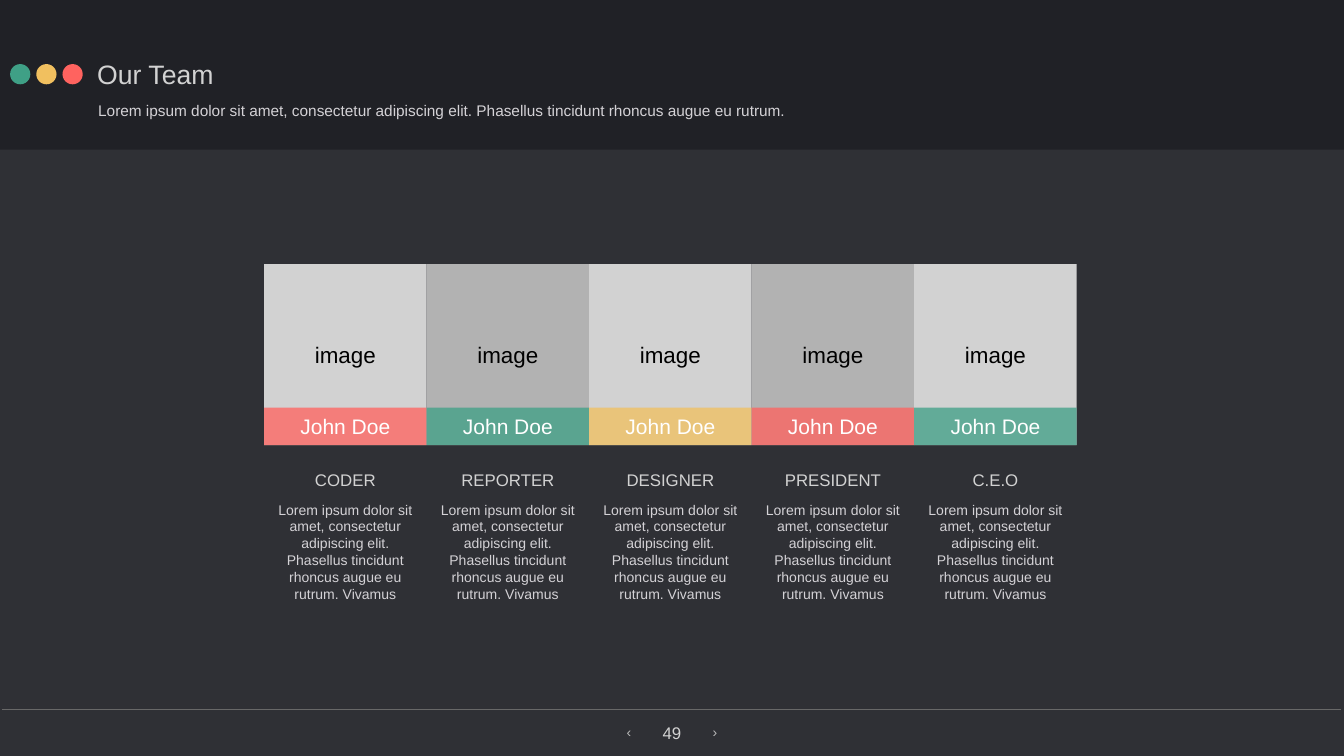
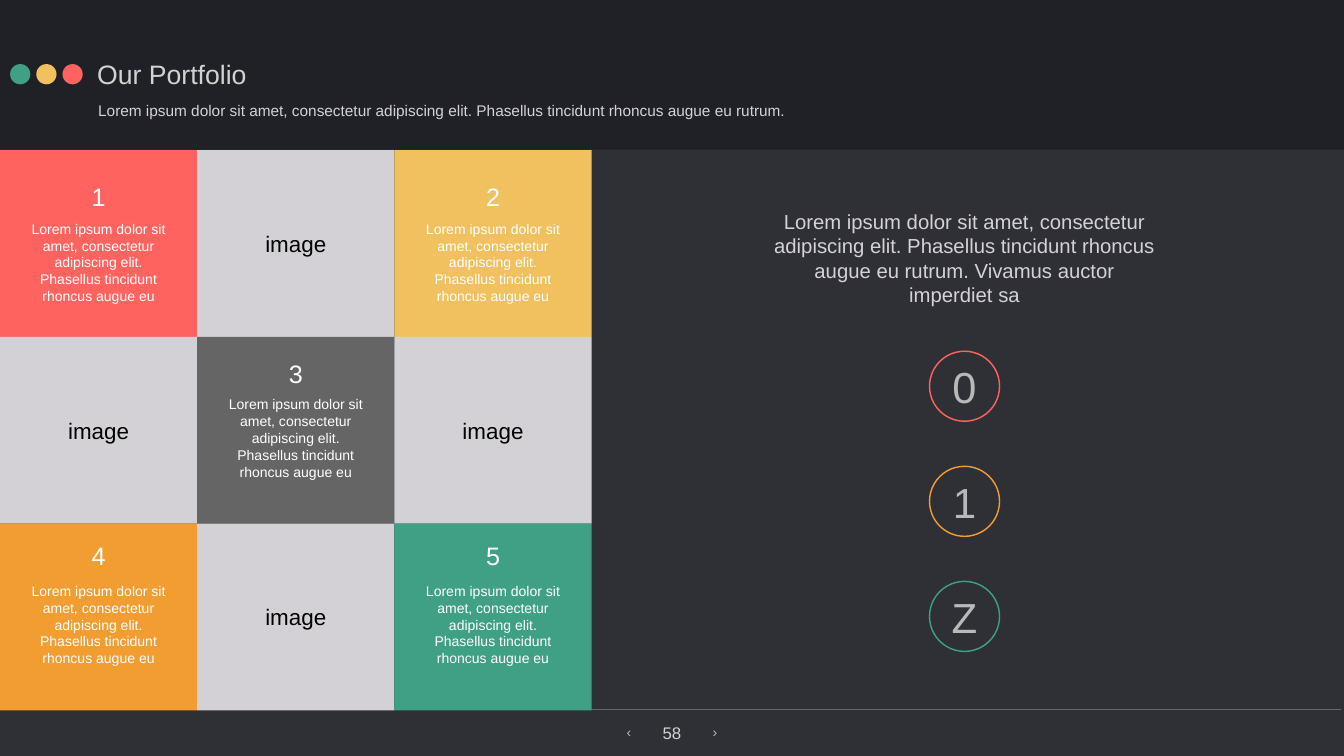
from pptx import Presentation
from pptx.dml.color import RGBColor
from pptx.enum.shapes import MSO_CONNECTOR, MSO_SHAPE
from pptx.enum.text import MSO_ANCHOR, MSO_AUTO_SIZE, PP_ALIGN
from pptx.oxml.ns import qn
from pptx.util import Cm, Pt
from lxml import etree

RECTANGLE, ELLIPSE = MSO_SHAPE.RECTANGLE, MSO_SHAPE.OVAL
STRAIGHT = MSO_CONNECTOR.STRAIGHT
TOP, MIDDLE = MSO_ANCHOR.TOP, MSO_ANCHOR.MIDDLE
LEFT, CENTER = PP_ALIGN.LEFT, PP_ALIGN.CENTER
GROW, FIXED = MSO_AUTO_SIZE.SHAPE_TO_FIT_TEXT, MSO_AUTO_SIZE.NONE

# Shared look
FONT = "Arial"
BACKGROUND, BAND, RULE = "2F3035", "202126", "686868"
GREEN, YELLOW, RED, ORANGE = "3FA086", "F1C05F", "FF635F", "F19D32"
LIGHT, PALE, MUTED, WHITE, BLACK = "D2D2D2", "D4D2D6", "B9B9B9", "FFFFFF", "000000"
TILE_DARK, TILE_PALE, TILE_GRAY = "B2B2B2", "D3D1D5", "656565"

# Regions as left, top, width, height in centimetres
PAGE_WIDTH, PAGE_HEIGHT = 67.74, 38.1
HEADER = (0, 0, PAGE_WIDTH, 7.54)
FOOTER = (0, 35.74, PAGE_WIDTH, 2.36)
TEAM = (13.31, 13.31, 40.96, 17.15)
MOSAIC = (0, 7.57, 29.82, 28.23)
SUMMARY = (38.66, 10.39, 19.91, 22.45)

# Wording
SENTENCE = "Lorem ipsum dolor sit amet, consectetur adipiscing elit. Phasellus tincidunt rhoncus augue eu"
SUBTITLE = SENTENCE + " rutrum."
MEMBER_TEXT = SUBTITLE + " Vivamus"
SUMMARY_TEXT = MEMBER_TEXT + " auctor imperdiet sa"

MEMBERS = [("CODER", RED), ("REPORTER", GREEN), ("DESIGNER", YELLOW),
           ("PRESIDENT", RED), ("C.E.O", GREEN)]

# Mosaic rows: number top, text top, then a (number, colour) or None for each cell
MOSAIC_ROWS = [
    (1.45, 3.38, [("1", RED), None, ("2", YELLOW)]),
    (0.94, 2.82, [None, ("3", TILE_GRAY), None]),
    (0.69, 2.82, [("4", ORANGE), None, ("5", GREEN)]),
]
BADGES = [("0", RED, 62), ("1", ORANGE, 60), ("Z", GREEN, 60)]


def rgb(color):
    return RGBColor.from_string(color)


def place(shape, left, top, width, height):
    shape.left, shape.top = Cm(left), Cm(top)
    shape.width, shape.height = Cm(width), Cm(height)


def write(shape, text, size, color, align=CENTER, anchor=MIDDLE, wrap=False, fit=GROW):
    frame = shape.text_frame
    frame.text = text
    frame.word_wrap = wrap
    frame.auto_size = fit
    frame.vertical_anchor = anchor
    frame.margin_left = frame.margin_right = Cm(0.15)
    frame.margin_top = frame.margin_bottom = Cm(0.15)
    for para in frame.paragraphs:
        para.alignment = align
        for span in para.runs:
            span.font.name, span.font.size = FONT, Pt(size)
            span.font.color.rgb = rgb(color)


def add_text(page, box, text, size, color, **options):
    shape = page.shapes.add_textbox(*map(Cm, box))
    write(shape, text, size, color, **options)


def add_block(page, kind, box, fill=None, line=None, opacity=100):
    shape = page.shapes.add_shape(kind, *map(Cm, box))
    shape.shadow.inherit = False
    if fill:
        shape.fill.solid()
        shape.fill.fore_color.rgb = rgb(fill)
    else:
        shape.fill.background()
    if line:
        shape.line.color.rgb = rgb(line)
        shape.line.width = Pt(2)
    else:
        shape.line.fill.background()
    if opacity < 100:
        color = shape.element.spPr.find(qn("a:solidFill"))[0]
        etree.SubElement(color, qn("a:alpha")).set("val", str(opacity * 1000))
    return shape


def add_image_tile(page, box, fill):
    tile = add_block(page, RECTANGLE, box, fill)
    write(tile, "image", 32, BLACK, wrap=True, fit=FIXED)


def add_header(page, box, title, title_width):
    left, top, width, height = box
    add_block(page, RECTANGLE, box, BAND)
    for index, color in enumerate([GREEN, YELLOW, RED]):
        add_block(page, ELLIPSE, (left + 0.51 + 1.32 * index, top + 3.23, 1.02, 1.02), color)

    # The title is raised above the band
    heading = page.shapes.title
    heading.element.getparent().append(heading.element)
    place(heading, left + 4.75, top + 2.77, title_width, 1.9)
    write(heading, title, 38, LIGHT, align=LEFT)
    add_text(page, (left + 4.8, top + 4.95, 35, 1.19), SUBTITLE, 22, PALE,
             align=LEFT, anchor=TOP)


def add_footer(page, box, number):
    left, top, width, height = box
    rule = page.shapes.add_connector(STRAIGHT, Cm(left + 0.1), Cm(top),
                                     Cm(left + width - 0.13), Cm(top))
    rule.line.color.rgb = rgb(RULE)
    rule.line.width = Pt(1)
    etree.SubElement(rule.element.spPr, qn("a:effectLst"))

    middle = left + width / 2
    for arrow, offset in [("‹", -2.17), ("›", 2.17)]:
        add_text(page, (middle + offset - 0.28, top + 0.61, 0.56, 1.12), arrow, 20, MUTED)
    add_text(page, (middle - 0.64, top + 0.53, 1.27, 1.3), number, 24, LIGHT, anchor=TOP)


def add_member(page, box, role, color, tile_color):
    left, top, width, height = box
    middle = left + width / 2
    add_image_tile(page, (left, top, width, 9.12), tile_color)
    add_block(page, RECTANGLE, (left, top + 7.24, width, 1.88), color, opacity=76)
    add_text(page, (middle - 2.43, top + 7.37, 4.86, 1.55), "John Doe", 30, WHITE)
    add_text(page, (middle - 2.6, top + 10.24, 5.2, 1.3), role, 24, LIGHT)
    add_text(page, (middle - 3.6, top + 11.79, 7.2, 5.36), MEMBER_TEXT, 20, PALE,
             anchor=TOP, wrap=True)


def add_team(page, box):
    left, top, width, height = box
    card_width = width / len(MEMBERS)
    for index, (role, color) in enumerate(MEMBERS):
        card = (left + index * card_width, top, card_width, height)
        add_member(page, card, role, color, TILE_DARK if index % 2 else LIGHT)


def add_mosaic(page, box):
    left, top, width, height = box
    cell_width, cell_height = width / 3, height / 3
    for row, (number_top, text_top, cells) in enumerate(MOSAIC_ROWS):
        for column, cell in enumerate(cells):
            x, y = left + column * cell_width, top + row * cell_height
            tile = (x, y, cell_width, cell_height)
            if cell is None:
                add_image_tile(page, tile, TILE_PALE)
                continue
            number, color = cell
            middle = x + cell_width / 2
            add_block(page, RECTANGLE, tile, color)
            add_text(page, (middle - 3.81, y + text_top, 7.62, 4.52), SENTENCE, 20, WHITE,
                     anchor=TOP, wrap=True)
            add_text(page, (middle - 0.51, y + number_top, 1.02, 1.8), number, 36, WHITE)


def add_summary(page, box):
    left, top, width, height = box
    add_text(page, (left, top, width, 5.23), SUMMARY_TEXT, 29, PALE, anchor=TOP, wrap=True)
    diameter, pitch = 3.53, 5.8
    middle = left + width / 2
    for index, (symbol, color, size) in enumerate(BADGES):
        y = top + 7.31 + index * pitch
        add_block(page, ELLIPSE, (middle - diameter / 2, y, diameter, diameter), line=color)
        add_text(page, (middle - 0.8, y + 0.35, 1.6, 2.83), symbol, size, MUTED)


def add_page(deck, title, title_width, number):
    page = deck.slides.add_slide(deck.slide_layouts.get_by_name("Title Only"))
    add_header(page, HEADER, title, title_width)
    add_footer(page, FOOTER, number)
    return page


def main():
    deck = Presentation()
    deck.slide_width, deck.slide_height = Cm(PAGE_WIDTH), Cm(PAGE_HEIGHT)
    backdrop = deck.slide_master.background.fill
    backdrop.solid()
    backdrop.fore_color.rgb = rgb(BACKGROUND)

    team_page = add_page(deck, "Our Team", 6.17, "49")
    add_team(team_page, TEAM)

    portfolio_page = add_page(deck, "Our Portfolio", 7.85, "58")
    add_summary(portfolio_page, SUMMARY)
    add_mosaic(portfolio_page, MOSAIC)

    deck.save("out.pptx")


if __name__ == "__main__":
    main()
